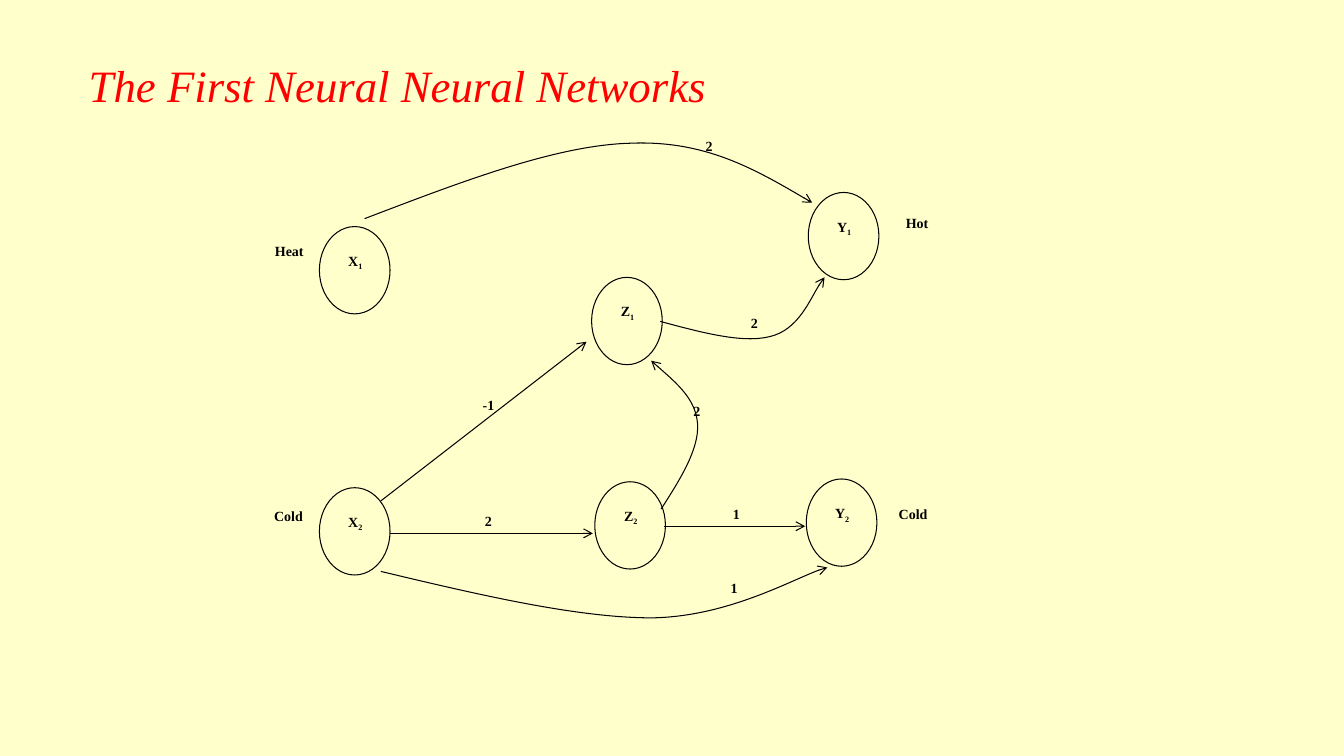
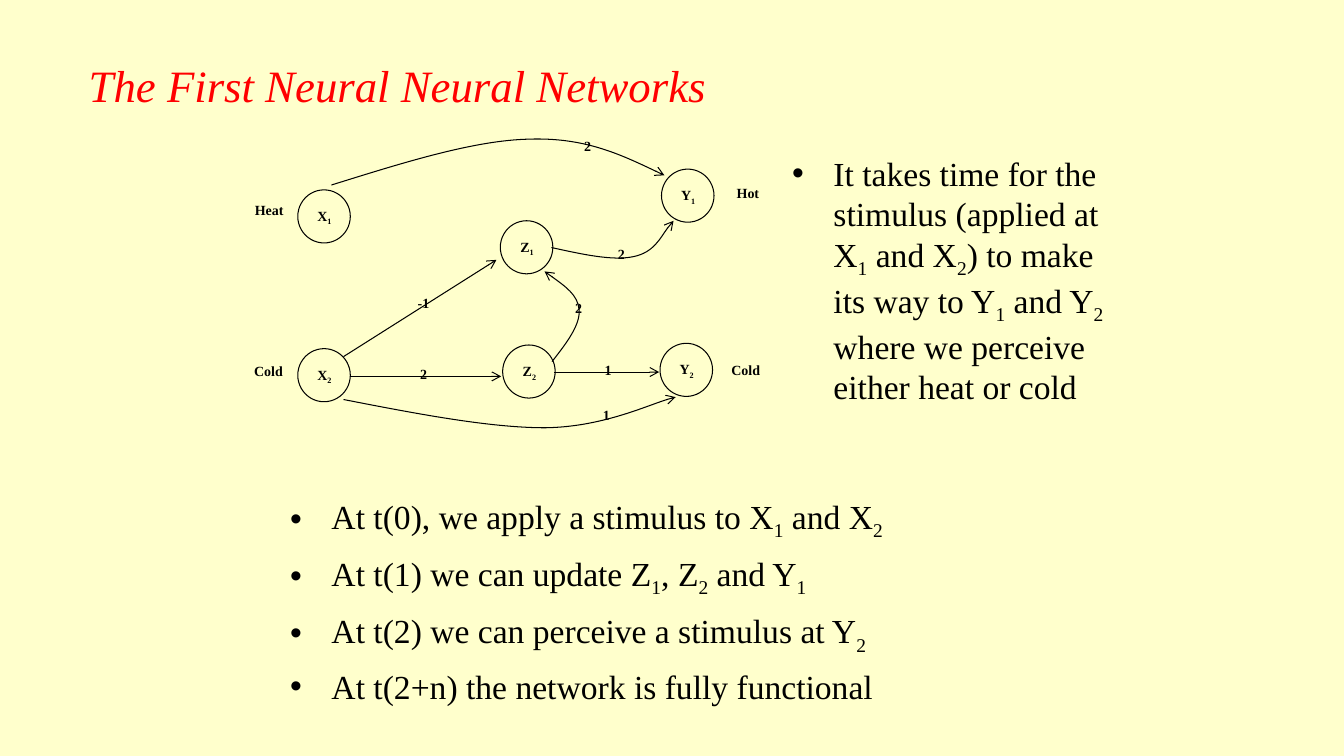
from lxml import etree
from pptx import Presentation
from pptx.dml.color import RGBColor
from pptx.enum.shapes import MSO_CONNECTOR, MSO_SHAPE
from pptx.enum.text import MSO_ANCHOR, MSO_AUTO_SIZE, PP_ALIGN
from pptx.oxml.ns import qn
from pptx.util import Cm, Pt

LEFT, CENTER, RIGHT = PP_ALIGN.LEFT, PP_ALIGN.CENTER, PP_ALIGN.RIGHT
BOTTOM, TOP = MSO_ANCHOR.BOTTOM, MSO_ANCHOR.TOP
NO_AUTOFIT = MSO_AUTO_SIZE.NONE
OVAL = MSO_SHAPE.OVAL
STRAIGHT = MSO_CONNECTOR.STRAIGHT

COLORS = {"background": "FFFFCC", "title": "FF0000", "ink": "000000"}
FONT = "Times New Roman"
TITLE = "The First Neural Neural Networks"
TITLE_ONLY, TWO_CONTENT = 5, 3

NODE_WIDTH, NODE_HEIGHT = 1.78, 2.2
NODES = [
    ("X_1", 8.05, 5.71),
    ("X_2", 8.05, 12.29),
    ("Z_1", 14.91, 6.99),
    ("Z_2", 14.99, 12.14),
    ("Y_1", 20.37, 4.85),
    ("Y_2", 20.32, 12.07),
]
CURVES = [
    [(9.19, 5.51), (11.58, 4.6), (14, 3.66), (15.88, 3.61),
     (17.75, 3.53), (19.13, 4.32), (20.47, 5.11)],
    [(16.64, 8.1), (17.68, 8.38), (18.72, 8.66), (19.41, 8.48),
     (20.12, 8.31), (20.55, 7.24), (20.78, 6.99)],
    [(16.66, 12.83), (17.15, 12.07), (17.63, 11.3), (17.58, 10.67),
     (17.53, 10.06), (16.97, 9.58), (16.41, 9.09)],
    [(9.6, 14.4), (12.07, 14.99), (14.55, 15.57), (16.43, 15.57),
     (18.31, 15.54), (20.29, 14.43), (20.85, 14.3)],
]
ARROWS = [
    (9.6, 12.62, 14.78, 8.61),
    (9.83, 13.44, 14.94, 13.44),
    (16.74, 13.26, 20.29, 13.26),
]
WEIGHTS = [
    ("2", 17.12, 3.35),
    ("2", 18.26, 7.8),
    ("2", 16.81, 10.03),
    ("1", 17.81, 12.62),
    ("2", 11.56, 12.8),
    ("-1", 11.56, 9.86),
    ("1", 17.75, 14.48),
]
LABELS = [
    ("Heat", 6.2, 5.99, 1.7, 1.35, RIGHT),
    ("Cold", 5.92, 12.67, 1.96, 1.35, RIGHT),
    ("Hot", 22.58, 5.28, 1.7, 1.35, LEFT),
    ("Cold", 22.4, 12.62, 2.06, 1.35, LEFT),
]
LABELS += [(text, x, y, 1.5, 1.14, CENTER) for text, x, y in WEIGHTS]
LABELS += [(text, x + 0.08, y + 0.52, 1.65, 1.57, CENTER) for text, x, y in NODES]

PAGES = [
    (TITLE_ONLY, 1, 1, []),
    (TWO_CONTENT, 0.744, 0.608, [
        (1, 19.71, 3.73, 8.74, 6.4, 1, [
            "It takes time for the stimulus (applied at X_1 and X_2) to make "
            "its way to Y_1 and Y_2 where we perceive either heat or cold",
        ]),
        (2, 7.06, 12.07, 19.56, 5.33, 1.25, [
            "At t(0), we apply a stimulus to X_1 and X_2",
            "At t(1) we can update Z_1, Z_2 and Y_1",
            "At t(2) we can perceive a stimulus at Y_2",
            "At t(2+n) the network is fully functional",
        ]),
    ]),
]


def write(para, text, size, color="ink", bold=False, italic=False):
    first, *rest = text.split("_")
    pieces = [(first, False)]
    for part in rest:
        pieces += [(part[0], True), (part[1:], False)]
    for piece, subscript in pieces:
        if piece:
            span = para.add_run()
            span.text = piece
            span.font.name = FONT
            span.font.size = Pt(size)
            span.font.bold = bold
            span.font.italic = italic
            span.font.color.rgb = RGBColor.from_string(COLORS[color])
            if subscript:
                span._r.get_or_add_rPr().set("baseline", "-25000")


def draw_line(shape, arrowhead=True):
    shape.line.color.rgb = RGBColor.from_string(COLORS["ink"])
    shape.line.width = Pt(0.75)
    properties = shape._element.spPr
    if arrowhead:
        etree.SubElement(properties.find(qn("a:ln")), qn("a:tailEnd"), type="arrow")
    etree.SubElement(properties, qn("a:effectLst"))


deck = Presentation()
deck.slide_width, deck.slide_height = Cm(33.87), Cm(19.05)
background = deck.slide_master.background.fill
background.solid()
background.fore_color.rgb = RGBColor.from_string(COLORS["background"])

for layout, scale_x, scale_y, lists in PAGES:
    page = deck.slides.add_slide(deck.slide_layouts[layout])

    title = page.shapes.title
    title.left, title.top, title.width, title.height = Cm(1.98), Cm(1.47), Cm(28.78), Cm(1.47)
    title.text_frame.vertical_anchor = BOTTOM
    title.text_frame.auto_size = NO_AUTOFIT
    para = title.text_frame.paragraphs[0]
    para.alignment = LEFT
    para.space_after = Pt(3)
    write(para, TITLE, 32, "title", italic=True)

    network = page.shapes.add_group_shape()
    for name, x, y in NODES:
        node = network.shapes.add_shape(OVAL, Cm(x), Cm(y), Cm(NODE_WIDTH), Cm(NODE_HEIGHT))
        node.fill.background()
        draw_line(node, arrowhead=False)

    for points in CURVES:
        start, *controls = [(Cm(x), Cm(y)) for x, y in points]
        builder = network.shapes.build_freeform(*start, scale=1.0)
        builder.add_line_segments(controls, close=False)
        curve = builder.convert_to_shape()
        curve.fill.background()
        draw_line(curve)
        outline = curve._element.find(".//" + qn("a:path"))
        segments = outline.findall(qn("a:lnTo"))
        for index in range(0, len(segments), 3):
            bezier = etree.SubElement(outline, qn("a:cubicBezTo"))
            for segment in segments[index:index + 3]:
                bezier.append(segment[0])
                outline.remove(segment)

    for ends in ARROWS:
        arrow = network.shapes.add_connector(STRAIGHT, *[Cm(value) for value in ends])
        draw_line(arrow)

    for text, x, y, width, height, alignment in LABELS:
        box = network.shapes.add_textbox(Cm(x), Cm(y), Cm(width), Cm(height))
        box.text_frame.word_wrap = True
        para = box.text_frame.paragraphs[0]
        para.alignment = alignment
        write(para, text, 10, bold=True)

    network.width = int(network.width * scale_x)
    network.height = int(network.height * scale_y)

    for slot, x, y, width, height, spacing, items in lists:
        body = page.placeholders[slot]
        body.left, body.top, body.width, body.height = Cm(x), Cm(y), Cm(width), Cm(height)
        frame = body.text_frame
        frame.auto_size = NO_AUTOFIT
        frame.vertical_anchor = TOP
        for number, item in enumerate(items):
            para = frame.add_paragraph() if number else frame.paragraphs[0]
            para.line_spacing = spacing
            para.space_before = Pt(0)
            properties = para._p.get_or_add_pPr()
            properties.set("marL", str(Cm(1.04)))
            properties.set("indent", str(-Cm(1.04)))
            etree.SubElement(properties, qn("a:buChar"), char="•")
            write(para, item, 24)

deck.save("out.pptx")
